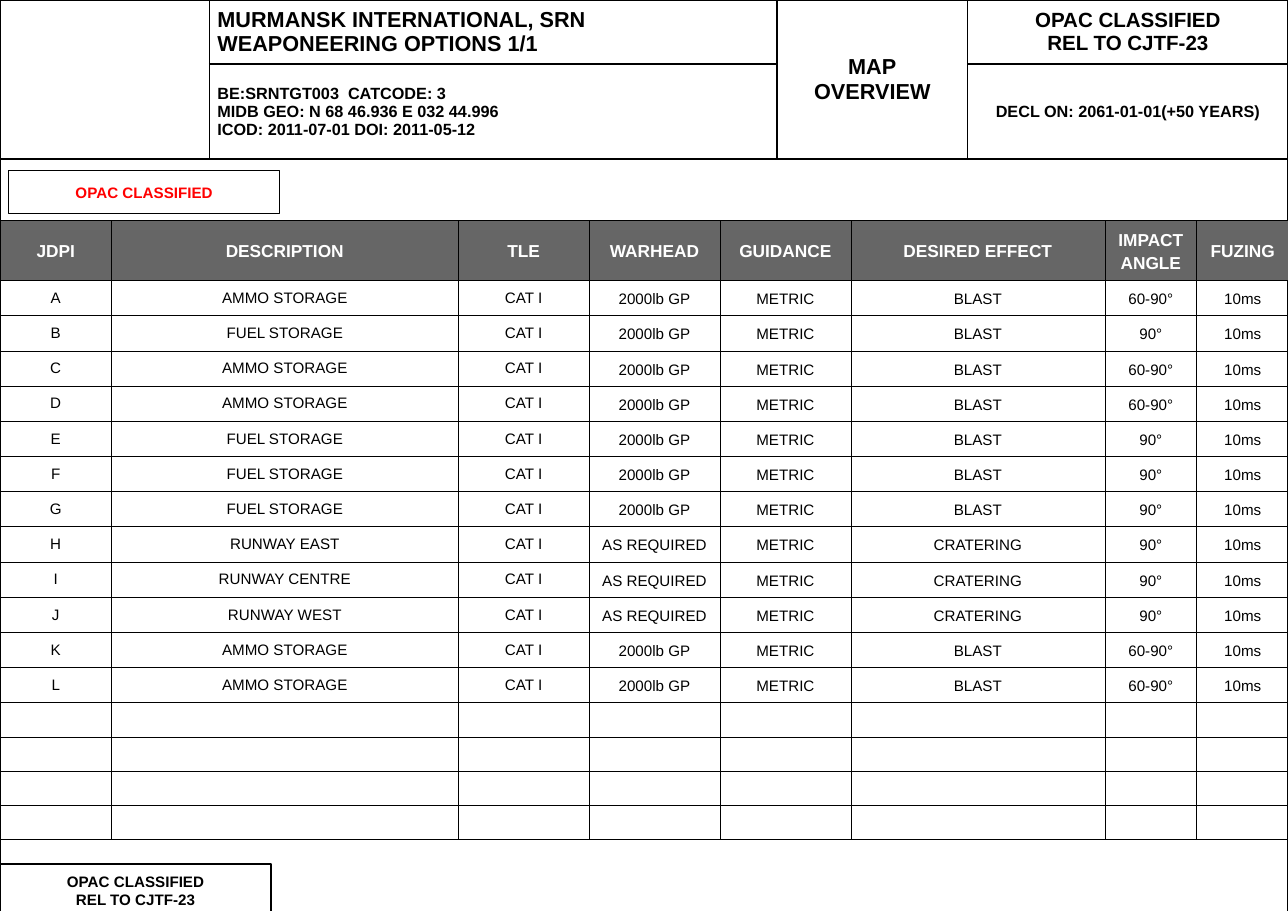
from lxml import etree
from pptx import Presentation
from pptx.dml.color import RGBColor
from pptx.enum.shapes import MSO_SHAPE
from pptx.enum.text import MSO_ANCHOR, PP_ALIGN
from pptx.oxml.ns import qn
from pptx.util import Inches, Pt

BLACK = RGBColor(0x00, 0x00, 0x00)
WHITE = RGBColor(0xFF, 0xFF, 0xFF)
RED = RGBColor(0xFF, 0x00, 0x00)
GREY = RGBColor(0x66, 0x66, 0x66)
LEFT, CENTER = PP_ALIGN.LEFT, PP_ALIGN.CENTER
MIDDLE = MSO_ANCHOR.MIDDLE
RECTANGLE = MSO_SHAPE.RECTANGLE
FONT = "Arial"
INSET = Inches(0.1)


def write_text(holder, text, size, color=BLACK, bold=True, align=CENTER, spacing=None):
    """Fill a cell or a text frame, one paragraph per line of text."""
    frame = getattr(holder, "text_frame", holder)
    holder.vertical_anchor = MIDDLE
    for side in ("left", "right", "top", "bottom"):
        setattr(holder, f"margin_{side}", INSET)
    frame.word_wrap = True
    frame.text = text
    formats = {"name": FONT, "size": Pt(size), "bold": bold}
    for para in frame.paragraphs:
        para.alignment = align
        para.line_spacing = spacing
        for span in para.runs:
            for name, value in formats.items():
                setattr(span.font, name, value)
            span.font.color.rgb = color
        if not para.runs:
            para._p.get_or_add_endParaRPr().set("sz", str(size * 100))


def add_grid(page, top, widths, heights, border):
    """Add a plain table at the left edge, with black borders and no fill."""
    table = page.shapes.add_table(
        len(heights), len(widths), Inches(0), Inches(top),
        Inches(sum(widths)), Inches(sum(heights))).table
    table.first_row = table.horz_banding = False
    for column, width in zip(table.columns, widths):
        column.width = Inches(width)
    for row, height in zip(table.rows, heights):
        row.height = Inches(height)
    for cell in table.iter_cells():
        properties = cell._tc.get_or_add_tcPr()
        for edge in ("a:lnL", "a:lnR", "a:lnT", "a:lnB"):
            line = etree.SubElement(properties, qn(edge), w=str(Pt(border)))
            fill = etree.SubElement(line, qn("a:solidFill"))
            etree.SubElement(fill, qn("a:srgbClr"), val=str(BLACK))
        cell.fill.background()
    return table


deck = Presentation()
deck.slide_width, deck.slide_height = Inches(16.53), Inches(11.69)
page = deck.slides.add_slide(deck.slide_layouts[6])

# Page frame with the target heading
heading = add_grid(page, 0, [2.69, 7.28, 2.45, 4.11], [0.82, 1.22, 9.68], 1.5)
heading.cell(0, 0).merge(heading.cell(1, 0))
heading.cell(0, 2).merge(heading.cell(1, 2))
heading.cell(2, 0).merge(heading.cell(2, 3))
HEADING_TEXTS = [
    (0, 1, "MURMANSK INTERNATIONAL, SRN\nWEAPONEERING OPTIONS 1/1", 20, LEFT),
    (0, 2, "MAP\nOVERVIEW", 20, CENTER),
    (0, 3, "OPAC CLASSIFIED\nREL TO CJTF-23", 19, CENTER),
    (1, 1, "BE:SRNTGT003  CATCODE: 3\nMIDB GEO: N 68 46.936 E 032 44.996\n"
           "ICOD: 2011-07-01 DOI: 2011-05-12", 15, LEFT),
    (1, 3, "DECL ON: 2061-01-01(+50 YEARS)", 15, CENTER),
]
for row, column, text, size, align in HEADING_TEXTS:
    write_text(heading.cell(row, column), text, size, align=align)
for row in range(2):
    for column in range(4):
        fill = heading.cell(row, column).fill
        fill.solid()
        fill.fore_color.rgb = WHITE

# Classification boxes
BOXES = [
    (0, 11.09, 0.67, "OPAC CLASSIFIED\nREL TO CJTF-23", BLACK),
    (0.11, 2.19, 0.55, "OPAC CLASSIFIED", RED),
]
for left, top, height, text, color in BOXES:
    box = page.shapes.add_shape(
        RECTANGLE, Inches(left), Inches(top), Inches(3.48), Inches(height))
    box.shadow.inherit = False
    box.fill.solid()
    box.fill.fore_color.rgb = WHITE
    box.line.color.rgb = BLACK
    box.line.width = Pt(1.5)
    write_text(box.text_frame, text, 14, color)

# Weaponeering options
HEADERS = ["JDPI", "DESCRIPTION", "TLE", "WARHEAD", "GUIDANCE",
           "DESIRED EFFECT", "IMPACT ANGLE", "FUZING"]
AMMO = ("AMMO STORAGE", "2000lb GP", "BLAST", "60-90°")
FUEL = ("FUEL STORAGE", "2000lb GP", "BLAST", "90°")
RUNWAYS = [(f"RUNWAY {part}", "AS REQUIRED", "CRATERING", "90°")
           for part in ("EAST", "CENTRE", "WEST")]
TARGETS = [AMMO, FUEL, AMMO, AMMO, FUEL, FUEL, FUEL, *RUNWAYS, AMMO, AMMO]
EMPTY_ROWS = 4

rows = [[letter, target, "CAT I", warhead, "METRIC", effect, angle, "10ms"]
        for letter, (target, warhead, effect, angle) in zip("ABCDEFGHIJKL", TARGETS)]
rows += [[""] * len(HEADERS)] * EMPTY_ROWS
options = add_grid(
    page, 2.83, [1.43, 4.45, 1.68, 1.68, 1.68, 3.26, 1.18, 1.18],
    [0.77] + [0.45] * len(TARGETS) + [0.42] * EMPTY_ROWS, 0.75)
for column, text in enumerate(HEADERS):
    cell = options.cell(0, column)
    cell.fill.solid()
    cell.fill.fore_color.rgb = GREY
    write_text(cell, text, 16, WHITE, spacing=1.15)
for row, texts in enumerate(rows, start=1):
    for column, text in enumerate(texts):
        spacing = 1.15 if text and column > 2 else None
        write_text(options.cell(row, column), text, 14, bold=False, spacing=spacing)

deck.save("out.pptx")
